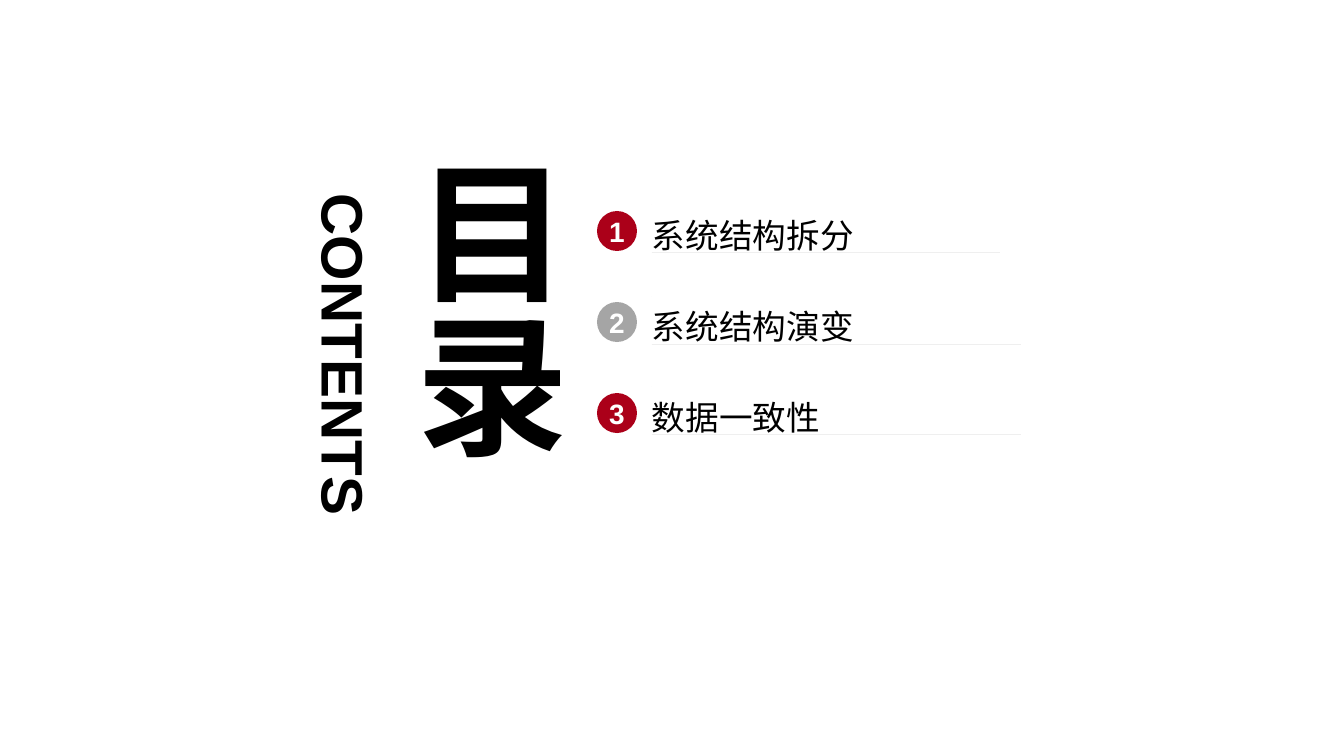
from pptx import Presentation
from pptx import util as u
from pptx.dml.color import RGBColor
from pptx.enum import shapes, text
from pptx.oxml.ns import qn

RED = RGBColor(0xAB, 0x00, 0x19)
GREY = RGBColor(0xA5, 0xA5, 0xA5)
RULE = RGBColor(0x80, 0x80, 0x80)
BLACK = RGBColor(0, 0, 0)
WHITE = RGBColor(255, 255, 255)

# Content: heading, badge colour, rule length in px
TITLE, SUBTITLE = "目录", "CONTENTS"
CHAPTERS = [
    ("系统结构拆分", RED, 348),
    ("系统结构演变", GREY, 369),
    ("数据一致性", RED, 369),
]

# Layout in px
SCALE = 9564
SLIDE_W, SLIDE_H = 1344, 756
BADGE_X, BADGE_Y, BADGE = 597, 211, 40
ITEM_X, ITEM_Y, ITEM_H = 652, 205, 48
PITCH = 91


def px(*lengths):
    return [u.Emu(n * SCALE) for n in lengths]


def paint(sp, color):
    sp.shadow.inherit = False
    sp.fill.solid()
    sp.fill.fore_color.rgb = color
    sp.line.fill.background()


def write(sp, words, size, color, bold=True, align=text.PP_ALIGN.CENTER,
          anchor=text.MSO_ANCHOR.MIDDLE):
    tf = sp.text_frame
    tf.word_wrap = True
    tf.margin_left = tf.margin_right = tf.margin_top = tf.margin_bottom = 0
    tf.vertical_anchor = anchor
    p = tf.paragraphs[0]
    p.text = words
    p.alignment = align
    font = p.runs[0].font
    font.name, font.size, font.bold = "Arial", u.Pt(size), bold
    font.color.rgb = color
    return p


prs = Presentation()
prs.slide_width, prs.slide_height = px(SLIDE_W, SLIDE_H)
s = prs.slides.add_slide(prs.slide_layouts[6])

# Vertical title
title = s.shapes.add_textbox(*px(395, 156, 185, 397))
write(title, TITLE, 115, BLACK)
title.text_frame._txBody.find(qn("a:bodyPr")).set("vert", "eaVert")

# Rotated subtitle
subtitle = s.shapes.add_textbox(*px(172, 319, 345, 71))
subtitle.rotation = 90
write(subtitle, SUBTITLE, 44, BLACK, anchor=text.MSO_ANCHOR.TOP)

# Chapters: numbered badge, then heading in an outline with a hairline foot
for i, (heading, color, length) in enumerate(CHAPTERS):
    dy = i * PITCH
    badge = s.shapes.add_shape(shapes.MSO_SHAPE.OVAL,
                               *px(BADGE_X, BADGE_Y + dy, BADGE, BADGE))
    paint(badge, color)
    write(badge, str(i + 1), 21.1, WHITE)

    top, bottom = ITEM_Y + dy, ITEM_Y + dy + ITEM_H
    outline = s.shapes.build_freeform(ITEM_X, bottom, scale=SCALE)
    outline.add_line_segments([(ITEM_X + length, bottom), (ITEM_X, bottom)])
    outline.move_to(ITEM_X, top)
    outline.add_line_segments([(ITEM_X, top)])
    item = outline.convert_to_shape()
    paint(item, RULE)
    p = write(item, heading, 25.3, BLACK, bold=False,
              align=text.PP_ALIGN.LEFT)
    p.line_spacing = 1.3

prs.save("out.pptx")
